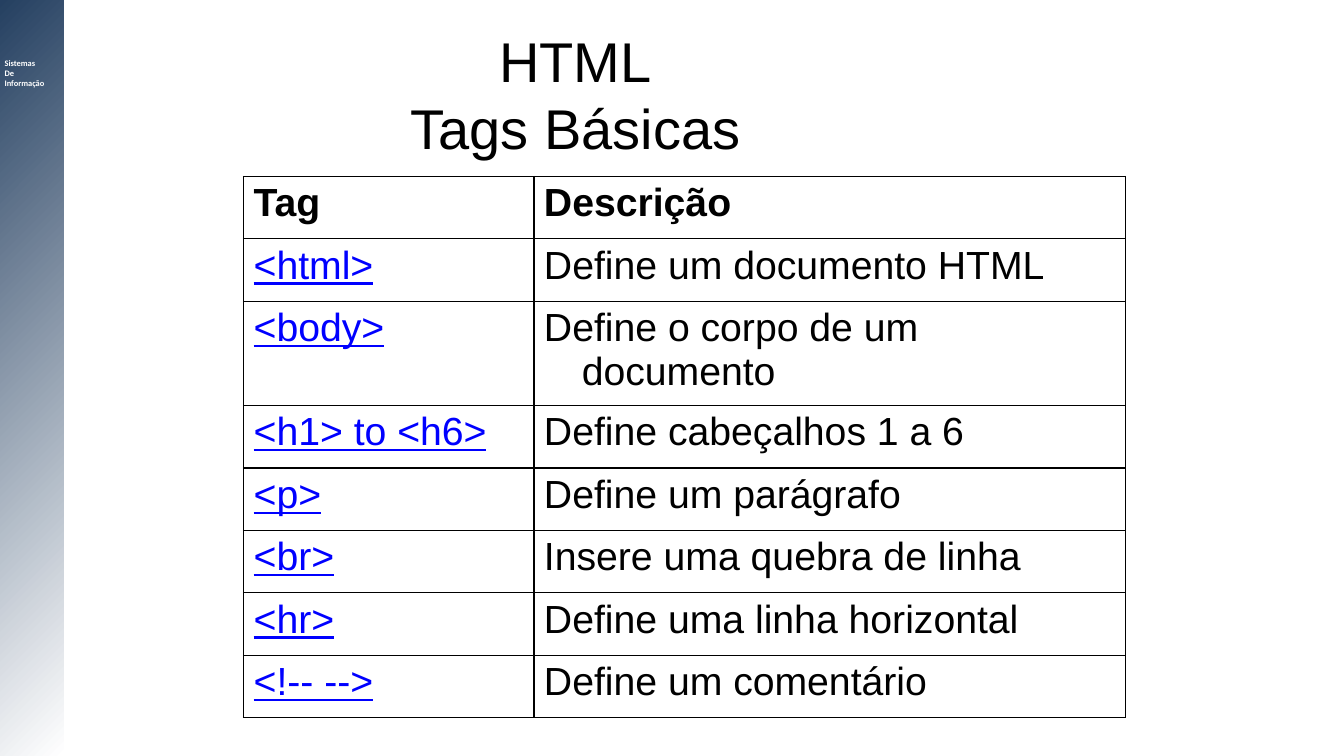
import pptx
import pptx.dml.color
import pptx.enum.shapes
import pptx.enum.text
import pptx.oxml
import pptx.oxml.ns
import pptx.util

Pt = pptx.util.Pt
RGB = pptx.dml.color.RGBColor
ALIGN = pptx.enum.text.PP_ALIGN
ANCHOR = pptx.enum.text.MSO_ANCHOR

WHITE = RGB(0xFF, 0xFF, 0xFF)
BLACK = RGB(0, 0, 0)
NAVY = RGB(0x25, 0x40, 0x61)
BLUE = RGB(0, 0, 0xFF)

TAGS = [
    ("Tag", "Descrição"),
    ("<html>", "Define um documento HTML"),
    ("<body>", "Define o corpo de um documento"),
    ("<h1> to <h6>", "Define cabeçalhos 1 a 6"),
    ("<p>", "Define um parágrafo"),
    ("<br>", "Insere uma quebra de linha"),
    ("<hr>", "Define uma linha horizontal"),
    ("<!-- -->", "Define um comentário"),
]
WIDTHS = (207.4, 422.6)
ROW, TALL = 44.6, 74.2  # the <body> row holds two lines


def style(para, name, size, color, bold=False, under=False):
    font = para.font
    font.name, font.size, font.bold = name, Pt(size), bold
    font.underline = under
    font.color.rgb = color


def add_bar(slide):
    bar = slide.shapes.add_shape(
        pptx.enum.shapes.MSO_SHAPE.RECTANGLE, 0, 0, Pt(45.6), Pt(540))
    bar.shadow.inherit = False
    bar.line.fill.background()
    bar.fill.gradient()
    bar.fill.gradient_angle = 135
    for stop, color in zip(bar.fill.gradient_stops, (WHITE, NAVY)):
        stop.color.rgb = color


def add_text(slide, box, text, name, size, color, bold=False,
             align=ALIGN.LEFT, anchor=ANCHOR.TOP):
    frame = slide.shapes.add_textbox(*map(Pt, box)).text_frame
    frame.word_wrap = True
    frame.vertical_anchor = anchor
    frame.text = text
    for para in frame.paragraphs:
        para.alignment = align
        style(para, name, size, color, bold)


def add_edges(cell):
    props = cell._tc.get_or_add_tcPr()
    space = pptx.oxml.ns.nsdecls("a")
    for spot, side in enumerate(("lnL", "lnR", "lnT", "lnB")):
        props.insert(spot, pptx.oxml.parse_xml(
            f'<a:{side} {space} w="{Pt(1)}"><a:solidFill>'
            f'<a:srgbClr val="{BLACK}"/></a:solidFill></a:{side}>'))


def fill_cell(cell, text, head, link):
    cell.text = text
    cell.fill.background()
    para = cell.text_frame.paragraphs[0]
    style(para, "Arial", 28, BLUE if link else BLACK, head, link)
    # Hanging indent
    props = para._p.get_or_add_pPr()
    props.set("marL", str(Pt(27)))
    props.set("indent", str(-Pt(27)))
    add_edges(cell)


def add_grid(slide):
    frame = slide.shapes.add_table(
        len(TAGS), 2, Pt(174), Pt(126), Pt(sum(WIDTHS)),
        Pt(ROW * (len(TAGS) - 1) + TALL))
    table = frame.table
    table.first_row = table.horz_banding = False
    for col, width in zip(table.columns, WIDTHS):
        col.width = Pt(width)
    for r, line in enumerate(TAGS):
        table.rows[r].height = Pt(TALL if line[0] == "<body>" else ROW)
        for c, text in enumerate(line):
            fill_cell(table.cell(r, c), text, r == 0, r > 0 and c == 0)


def main():
    deck = pptx.Presentation()
    deck.slide_width, deck.slide_height = Pt(960), Pt(540)
    slide = deck.slides.add_slide(deck.slide_layouts[6])

    # Side bar with the course name
    add_bar(slide)
    add_text(slide, (-3.8, 38.2, 72, 40.3), "Sistemas\nDe\nInformação",
             "Calibri", 6, WHITE, bold=True)

    # Title and table of tags
    add_text(slide, (156, 21.6, 510, 90), "HTML\vTags Básicas",
             "Arial", 40, BLACK, align=ALIGN.CENTER, anchor=ANCHOR.MIDDLE)
    add_grid(slide)

    deck.save("out.pptx")


if __name__ == "__main__":
    main()
